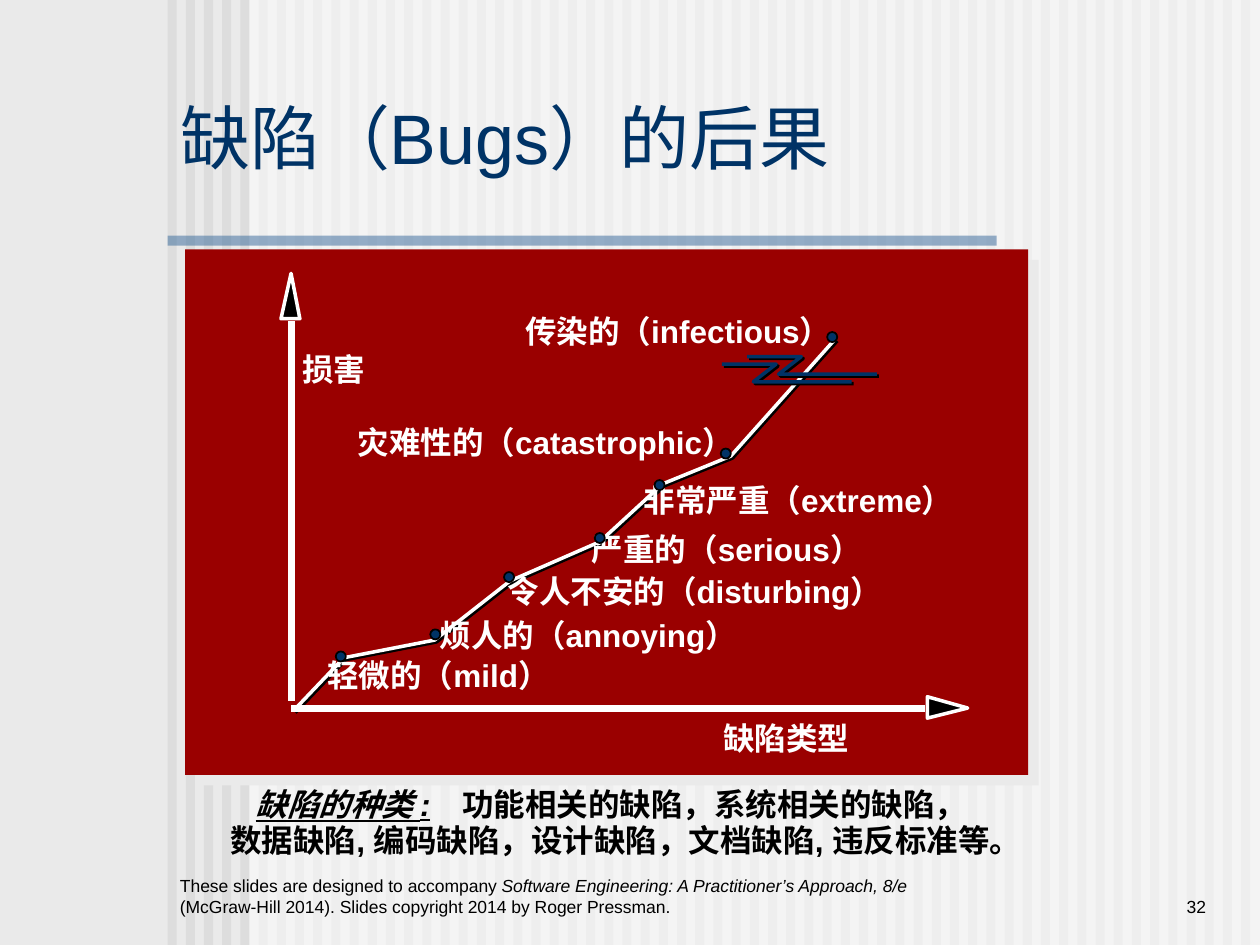
from typing import NamedTuple, Optional

from lxml.etree import SubElement
from pptx import Presentation
from pptx.dml.color import RGBColor
from pptx.enum.shapes import MSO_CONNECTOR, MSO_SHAPE
from pptx.enum.text import MSO_ANCHOR, MSO_AUTO_SIZE, PP_ALIGN
from pptx.oxml.ns import qn
from pptx.util import Inches, Pt

# The slide is a grid of 100 columns and 75 rows; a cell is 0.1 inch square.
COLUMNS, ROWS = 100, 75
CELL = Inches(10) / COLUMNS

WHITE, BLACK, NAVY = "FFFFFF", "000000", "003366"
PAPER, STRIPE, RULE, PANEL = "EAEAEA", "DDDDDD", "336699", "9A0000"
STRIPE_COUNT, FIRST_STRIPE, LAST_STRIPE = 60, 13.3, 98.5


class Box(NamedTuple):
    left: float
    top: float
    width: float
    height: float


class Label(NamedTuple):
    text: str
    box: Box
    hue: str = WHITE
    emphasis: bool = False


Points = list[tuple[float, float]]

LABELS = [
    Label("损害", Box(23, 27.3, 8, 4)),
    Label("轻微的（mild）", Box(25, 51.6, 22, 4)),
    Label("烦人的（annoying）", Box(33.9, 48.4, 28, 4)),
    Label("令人不安的（disturbing）", Box(39.3, 44.9, 34, 4)),
    Label("严重的（serious）", Box(46, 41.6, 26, 4)),
    Label("非常严重（extreme）", Box(50.1, 37.7, 29, 4)),
    Label("灾难性的（catastrophic）", Box(27.4, 33.1, 34, 4)),
    Label("传染的（infectious）", Box(40.7, 24.3, 29, 4)),
    Label("缺陷类型", Box(56.4, 56.6, 13, 4)),
    Label("缺陷的种类 :", Box(19.3, 61.8, 17, 4), BLACK, True),
    Label("功能相关的缺陷，系统相关的缺陷，", Box(35.7, 61.8, 44, 4), BLACK),
    Label("数据缺陷, 编码缺陷，设计缺陷，文档缺陷, 违反标准等。",
          Box(17.3, 64.7, 69, 4), BLACK),
]
DAMAGE_CURVE: Points = [(23.3, 56.4), (27.3, 52.2), (34.5, 50.8), (40.5, 46.1),
                        (47.6, 43), (52.6, 38.4), (58, 36.2), (66.3, 26.9)]
SEVERITY_DOTS: Points = [(27.05, 52.1), (34.55, 50.35), (40.4, 45.8), (47.6, 42.7),
                         (52.35, 38.5), (57.6, 36), (66.05, 26.75)]
BREAK_MARK: Points = [(0, 0), (4.3, 0), (2.5, 1.4), (10.3, 1.4)]
BREAK_STARTS: Points = [(59.3, 28.3), (57.3, 28.9)]


def cells(count: float) -> int:
    return round(count * CELL)


def rgb(hue: str) -> RGBColor:
    return RGBColor.from_string(hue)


def paint(shape, fill: Optional[str] = None, line: Optional[str] = None,
          weight: float = 2, opacity: int = 100) -> None:
    shape.shadow.inherit = False
    if fill:
        shape.fill.solid()
        shape.fill.fore_color.rgb = rgb(fill)
        if opacity < 100:
            shade = shape._element.spPr.find(f"{qn('a:solidFill')}/{qn('a:srgbClr')}")
            SubElement(shade, qn("a:alpha"), val=str(opacity * 1000))
    else:
        shape.fill.background()
    if line:
        shape.line.color.rgb = rgb(line)
        shape.line.width = Pt(weight)
    else:
        shape.line.fill.background()


def add_preset(slide, kind: MSO_SHAPE, box: Box, **look):
    shape = slide.shapes.add_shape(kind, *map(cells, box))
    paint(shape, **look)
    return shape


def add_outline(slide, points: Points, closed: bool = False, **look) -> None:
    corners = [(cells(x), cells(y)) for x, y in points]
    builder = slide.shapes.build_freeform(*corners[0])
    builder.add_line_segments(corners[1:], close=closed)
    paint(builder.convert_to_shape(), **look)


def add_shadowed_path(slide, points: Points, hue: str) -> None:
    """Draw a path over a black one set slightly down and right."""
    for shift, line in ((0.15, BLACK), (0, hue)):
        add_outline(slide, [(x + shift, y + shift) for x, y in points], line=line)


def add_axis(slide, start: tuple[float, float], end: tuple[float, float],
             head: Points) -> None:
    add_outline(slide, head, closed=True, fill=BLACK, line=WHITE)
    shaft = slide.shapes.add_connector(MSO_CONNECTOR.STRAIGHT,
                                       *map(cells, (*start, *end)))
    shaft.line.color.rgb = rgb(WHITE)
    shaft.line.width = Pt(4)
    SubElement(shaft._element.spPr, qn("a:effectLst"))


def write(frame, text: str, *, size: float, hue: str, bold: bool = False,
          italic: bool = False, underline: bool = False,
          align: PP_ALIGN = PP_ALIGN.LEFT) -> None:
    """Append a formatted run to the frame's first paragraph."""
    paragraph = frame.paragraphs[0]
    paragraph.alignment = align
    run = paragraph.add_run()
    run.text = text
    font = run.font
    font.name, font.size, font.color.rgb = "Arial", Pt(size), rgb(hue)
    font.bold, font.italic, font.underline = bold, italic, underline


def add_frame(slide, box: Box, anchor: MSO_ANCHOR = MSO_ANCHOR.TOP):
    frame = slide.shapes.add_textbox(*map(cells, box)).text_frame
    frame.word_wrap = True
    frame.vertical_anchor = anchor
    frame.auto_size = MSO_AUTO_SIZE.NONE
    return frame


def add_backdrop(slide) -> None:
    slide.background.fill.solid()
    slide.background.fill.fore_color.rgb = rgb(PAPER)
    pitch = (LAST_STRIPE - FIRST_STRIPE) / (STRIPE_COUNT - 1)
    for index in range(STRIPE_COUNT):
        stripe = Box(FIRST_STRIPE + index * pitch, 0, pitch / 2, ROWS)
        add_preset(slide, MSO_SHAPE.RECTANGLE, stripe, fill=STRIPE)
    add_preset(slide, MSO_SHAPE.RECTANGLE, Box(19.8, 0, 80.2, ROWS),
               fill=WHITE, opacity=50)
    add_preset(slide, MSO_SHAPE.RECTANGLE, Box(13.3, 18.7, 65.8, 0.8),
               fill=RULE, opacity=50)


def add_footer(slide) -> None:
    credit = add_frame(slide, Box(13.3, 68.3, 60, 5), MSO_ANCHOR.BOTTOM)
    for text, italic in (
        ("These slides are designed to accompany ", False),
        ("Software Engineering: A Practitioner’s Approach, 8/e ", True),
        ("(McGraw-Hill 2014). Slides copyright 2014 by Roger Pressman.", False),
    ):
        write(credit, text, size=10, hue=BLACK, italic=italic)
    number = add_frame(slide, Box(82.5, 68.3, 14.2, 5), MSO_ANCHOR.BOTTOM)
    write(number, "32", size=10, hue=BLACK, align=PP_ALIGN.RIGHT)


def add_panel(slide) -> None:
    panel = add_preset(slide, MSO_SHAPE.RECTANGLE, Box(14.7, 19.8, 66.9, 41.7), fill=PANEL)
    effects = panel._element.spPr.find(qn("a:effectLst"))
    shadow = SubElement(effects, qn("a:outerShdw"), dist=str(Pt(8.5)),
                        dir=str(45 * 60000), algn="ctr", rotWithShape="0")
    SubElement(shadow, qn("a:srgbClr"), val=PAPER)


def place_title(slide) -> None:
    title = slide.shapes.title
    title.left, title.top, title.width, title.height = map(cells, Box(13.3, 7.5, 68.3, 6.7))
    frame = title.text_frame
    frame.auto_size = MSO_AUTO_SIZE.NONE
    frame.vertical_anchor = MSO_ANCHOR.MIDDLE
    write(frame, "缺陷（Bugs）的后果", size=40, hue=NAVY)
    slide.shapes._spTree.append(title._element)  # in front of the stripes


def main() -> None:
    deck = Presentation()
    deck.slide_width, deck.slide_height = cells(COLUMNS), cells(ROWS)
    slide = deck.slides.add_slide(deck.slide_layouts[5])
    add_backdrop(slide)
    add_footer(slide)
    add_panel(slide)
    place_title(slide)
    add_shadowed_path(slide, DAMAGE_CURVE, WHITE)
    add_axis(slide, (23.1, 55.6), (23.1, 25.5), [(23.1, 21.7), (23.8, 25.3), (22.3, 25.3)])
    add_axis(slide, (23.1, 56.2), (73.4, 56.2), [(76.8, 56.2), (73.6, 57), (73.6, 55.3)])
    for text, box, hue, emphasis in LABELS:
        write(add_frame(slide, box), text, size=18, hue=hue,
              bold=True, italic=emphasis, underline=emphasis)
    for x, y in SEVERITY_DOTS:
        add_preset(slide, MSO_SHAPE.OVAL, Box(x - 0.4, y - 0.4, 0.8, 0.8),
                   fill=NAVY, line=BLACK, weight=1)
    for left, top in BREAK_STARTS:
        add_shadowed_path(slide, [(left + x, top + y) for x, y in BREAK_MARK], NAVY)
    deck.save("out.pptx")


if __name__ == "__main__":
    main()
